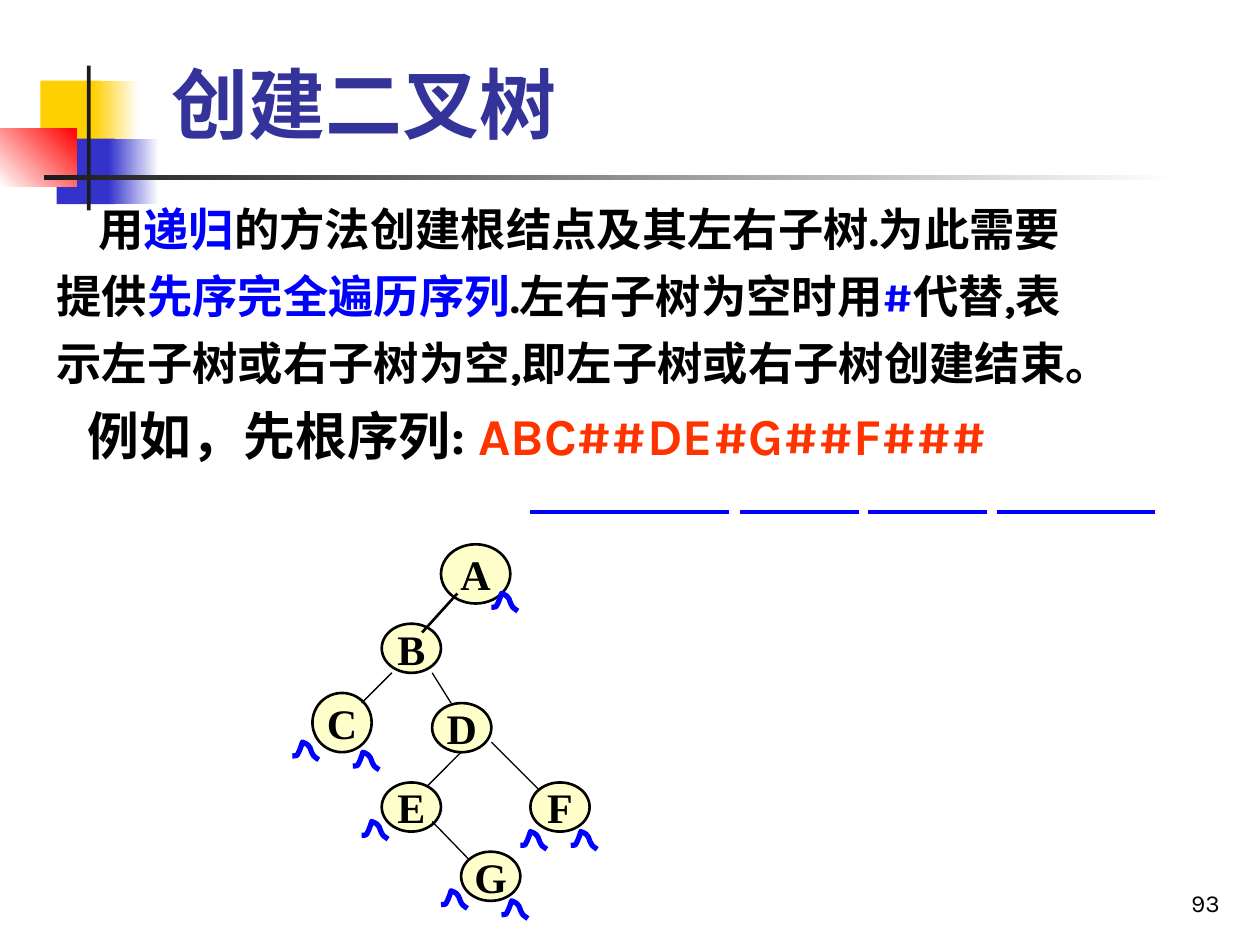
from dataclasses import dataclass

from lxml.etree import SubElement
from pptx import Presentation
from pptx.dml.color import RGBColor
from pptx.enum.lang import MSO_LANGUAGE_ID
from pptx.enum.shapes import MSO_CONNECTOR, MSO_SHAPE
from pptx.enum.text import MSO_ANCHOR, PP_ALIGN
from pptx.oxml.ns import qn
from pptx.util import Inches, Pt


@dataclass(frozen=True)
class Theme:
    font: str = "Karla"
    node_font: str = "Times New Roman"
    title: str = "333399"
    text: str = "000000"
    accent: str = "0000FF"
    sequence: str = "FF3300"
    node: str = "FFFFCC"
    white: str = "FFFFFF"
    yellow: str = "FFCF01"
    blue: str = "3333CC"
    red: str = "FF0000"
    dark: str = "1C1C1C"
    title_size: float = 44
    body_size: float = 25.9
    example_size: float = 29.6
    node_size: float = 24
    number_size: float = 14


class SlideBuilder:
    def __init__(self, slide, theme):
        self.slide = slide
        self.theme = theme

    def format_run(self, r, size, color, bold=True, font=None):
        r.font.name = font or self.theme.font
        r.font.size = Pt(size)
        r.font.bold = bold
        r.font.color.rgb = RGBColor.from_string(color)
        r.font.language_id = MSO_LANGUAGE_ID.SIMPLIFIED_CHINESE

    def bar(self, box, color, end=None, angle=0):
        sp = self.slide.shapes.add_shape(MSO_SHAPE.RECTANGLE, *map(Inches, box))
        sp.shadow.inherit = False
        sp.line.fill.background()
        if end is None:
            sp.fill.solid()
            sp.fill.fore_color.rgb = RGBColor.from_string(color)
            return
        sp.fill.gradient()
        sp.fill.gradient_angle = angle
        for stop, position, value in zip(sp.fill.gradient_stops, (0, 1), (color, end)):
            stop.position = position
            stop.color.rgb = RGBColor.from_string(value)

    def text_box(self, box, anchor=MSO_ANCHOR.TOP):
        tf = self.slide.shapes.add_textbox(*map(Inches, box)).text_frame
        tf.word_wrap = True
        tf.vertical_anchor = anchor
        return tf

    def label(self, box, text, size, color, bold=True, align=PP_ALIGN.LEFT):
        tf = self.text_box(box, MSO_ANCHOR.BOTTOM)
        tf.text = text
        p = tf.paragraphs[0]
        p.alignment = align
        self.format_run(p.runs[0], size, color, bold)
        return p

    def body(self, box, paragraphs):
        tf = self.text_box(box)
        hang = 0.38
        for i, (offset, size, before, runs) in enumerate(paragraphs):
            p = tf.paragraphs[0] if i == 0 else tf.add_paragraph()
            p.space_before = Pt(before)
            pPr = p._p.get_or_add_pPr()
            pPr.set("marL", str(Inches(hang)))
            pPr.set("indent", str(Inches(offset - hang)))
            for text, color in runs:
                r = p.add_run()
                r.text = text
                self.format_run(r, size, color)

    def node(self, name, left, top, width=0.47, height=0.39):
        sp = self.slide.shapes.add_shape(
            MSO_SHAPE.OVAL, *map(Inches, (left, top, width, height)))
        sp.shadow.inherit = False
        sp.fill.solid()
        sp.fill.fore_color.rgb = RGBColor.from_string(self.theme.node)
        sp.line.color.rgb = RGBColor.from_string(self.theme.text)
        sp.line.width = Pt(1.5)
        tf = sp.text_frame
        tf.text = name
        tf.word_wrap = False
        tf.vertical_anchor = MSO_ANCHOR.MIDDLE
        p = tf.paragraphs[0]
        p.alignment = PP_ALIGN.CENTER
        self.format_run(p.runs[0], self.theme.node_size, self.theme.text,
                        font=self.theme.node_font)

    def line(self, x1, y1, x2, y2, width, color):
        cxn = self.slide.shapes.add_connector(
            MSO_CONNECTOR.STRAIGHT, *map(Inches, (x1, y1, x2, y2)))
        cxn.line.color.rgb = RGBColor.from_string(color)
        cxn.line.width = Pt(width)
        SubElement(cxn._element.spPr, qn("a:effectLst"))

    def null_mark(self, left, top):
        points = [(0, 0.11),
                  (0.01, 0.11), (0.04, 0.11), (0.04, 0.1),
                  (0.06, 0.07), (0.08, 0), (0.08, 0),
                  (0.16, 0.03), (0.13, 0.05), (0.17, 0.11),
                  (0.18, 0.12), (0.21, 0.14), (0.21, 0.14)]
        points = [(Inches(left + x), Inches(top + y)) for x, y in points]
        fb = self.slide.shapes.build_freeform(*points[0])
        fb.add_line_segments(points[1:], close=False)
        sp = fb.convert_to_shape()
        outline = next(sp._element.iter(qn("a:path")))
        segments = outline.findall(qn("a:lnTo"))
        for i in range(0, len(segments), 3):
            curve = SubElement(outline, qn("a:cubicBezTo"))
            for segment in segments[i:i + 3]:
                curve.append(segment[0])
                outline.remove(segment)
        sp.shadow.inherit = False
        sp.fill.background()
        sp.line.color.rgb = RGBColor.from_string(self.theme.accent)
        sp.line.width = Pt(3)


def main():
    prs = Presentation()
    prs.slide_width, prs.slide_height = Inches(10), Inches(7.5)
    t = Theme()
    s = SlideBuilder(prs.slides.add_slide(prs.slide_layouts[6]), t)

    s.bar((0.32, 0.64, 0.48, 0.52), t.yellow)
    s.bar((0.74, 0.64, 0.36, 0.52), t.yellow, t.white)
    s.bar((0.45, 1.1, 0.46, 0.52), t.blue)
    s.bar((0.86, 1.1, 0.4, 0.52), t.blue, t.white)
    s.bar((0, 1.02, 0.61, 0.46), t.white, t.red, 45)
    s.bar((0.69, 0.52, 0.03, 1.15), t.dark)
    s.bar((0.35, 1.39, 9, 0.04), t.dark, t.white)

    s.label((1.26, 0.23, 8.52, 1), "创建二叉树", t.title_size, t.title)
    s.body((0.35, 1.55, 9.37, 2.91), [
        (0.33, t.body_size, 0, [
            ("用", t.text), ("递归", t.accent),
            ("的方法创建根结点及其左右子树.为此需要", t.text)]),
        (0, t.body_size, 7, [
            ("提供", t.text), ("先序完全遍历序列", t.accent),
            (".左右子树为空时用", t.text), ("#", t.accent), ("代替,表", t.text)]),
        (0, t.body_size, 7, [
            ("示左子树或右子树为空,即左子树或右子树创建结束。", t.text)]),
        (0.25, t.example_size, 8, [
            ("例如，先根序列: ", t.text), ("ABC##DE#G##F###", t.sequence)]),
    ])

    dash = 0.315
    for left, count in ((4.21, 5), (5.87, 3), (6.89, 3), (7.91, 4)):
        for i in range(count):
            s.line(left + i * dash, 4.06, left + (i + 1) * dash, 4.06, 2.25, t.accent)

    s.node("A", 3.5, 4.32, 0.55, 0.47)
    s.node("B", 3.03, 4.95)
    s.node("C", 2.48, 5.5, height=0.47)
    s.node("D", 3.43, 5.58)
    s.line(3.63, 4.71, 3.35, 5.02, 1.5, t.text)
    for edge in ((3.11, 5.34, 2.87, 5.58), (3.43, 5.34, 3.58, 5.58),
                 (3.66, 5.97, 3.35, 6.28), (3.9, 5.89, 4.29, 6.28)):
        s.line(*edge, 0.75, t.text)
    s.node("E", 3.03, 6.21)
    s.line(3.43, 6.52, 3.74, 6.84, 0.75, t.text)
    s.node("F", 4.21, 6.21)
    s.node("G", 3.66, 6.76)
    for left, top in ((3.9, 4.71), (2.32, 5.89), (2.8, 5.97), (2.87, 6.52),
                      (4.13, 6.6), (4.53, 6.6), (3.5, 7.07), (3.98, 7.15)):
        s.null_mark(left, top)

    p = s.label((7.7, 6.83, 2.08, 0.5), "93", t.number_size, t.text, False,
                PP_ALIGN.RIGHT)
    p.line_spacing = 0.8
    prs.save("out.pptx")


if __name__ == "__main__":
    main()
